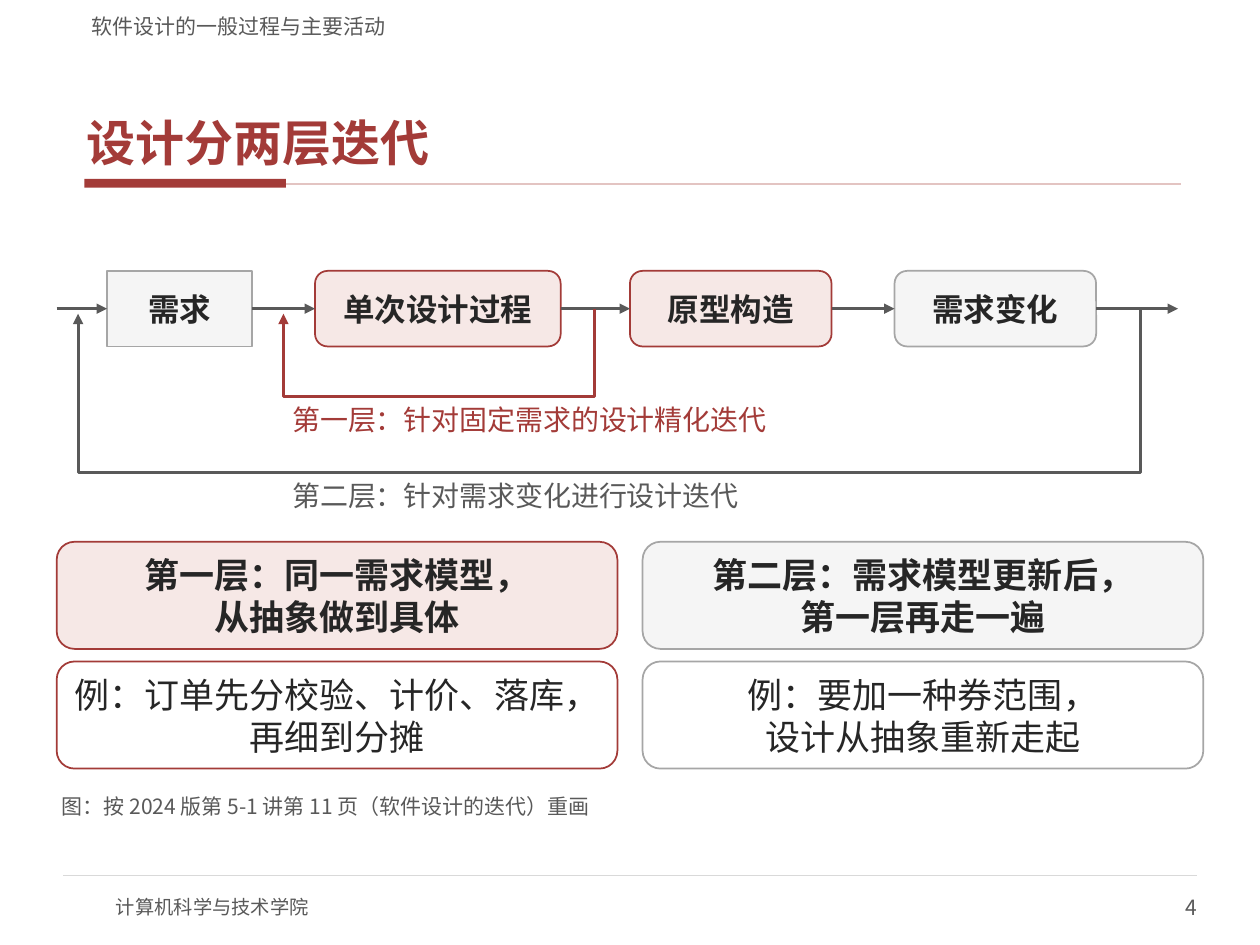
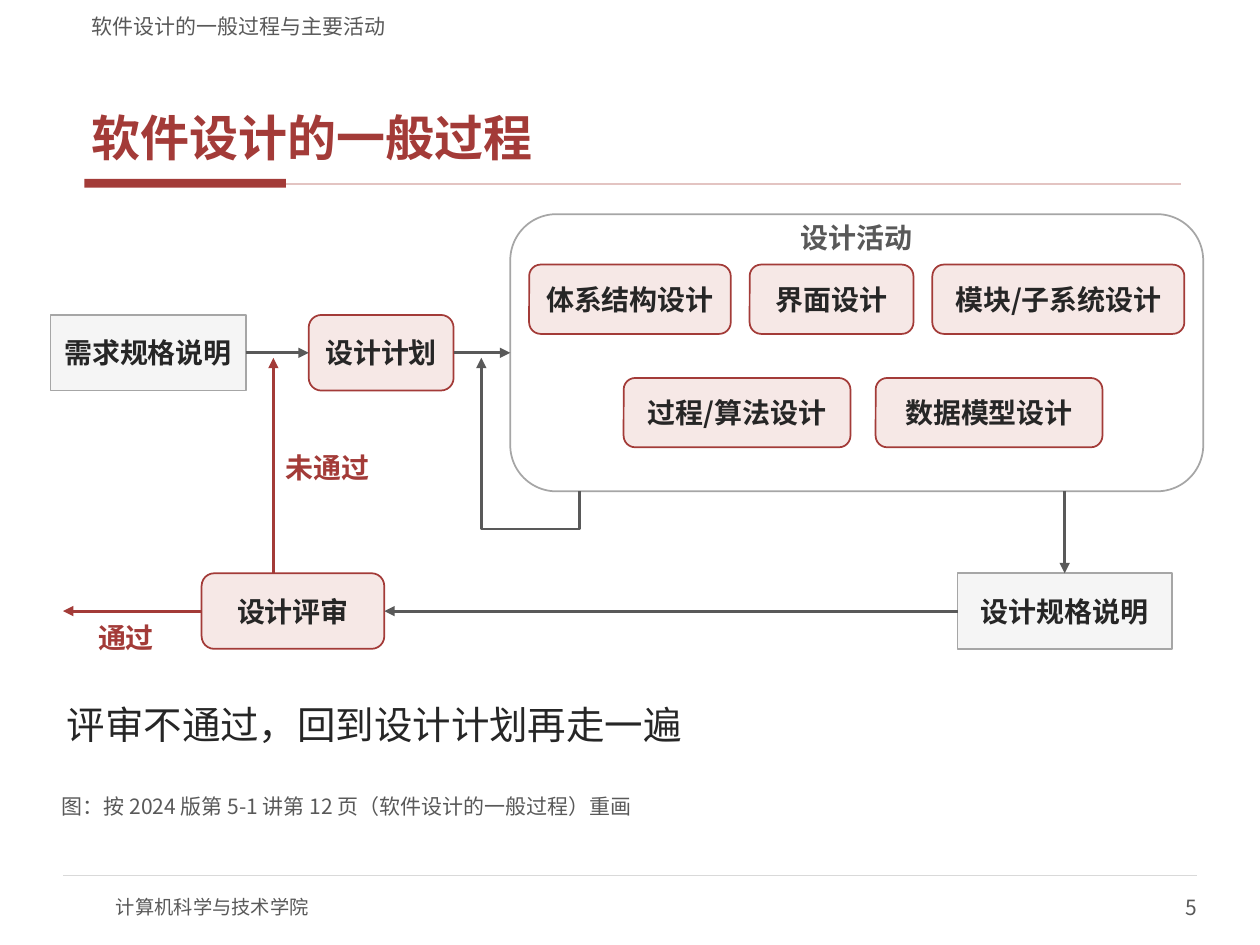
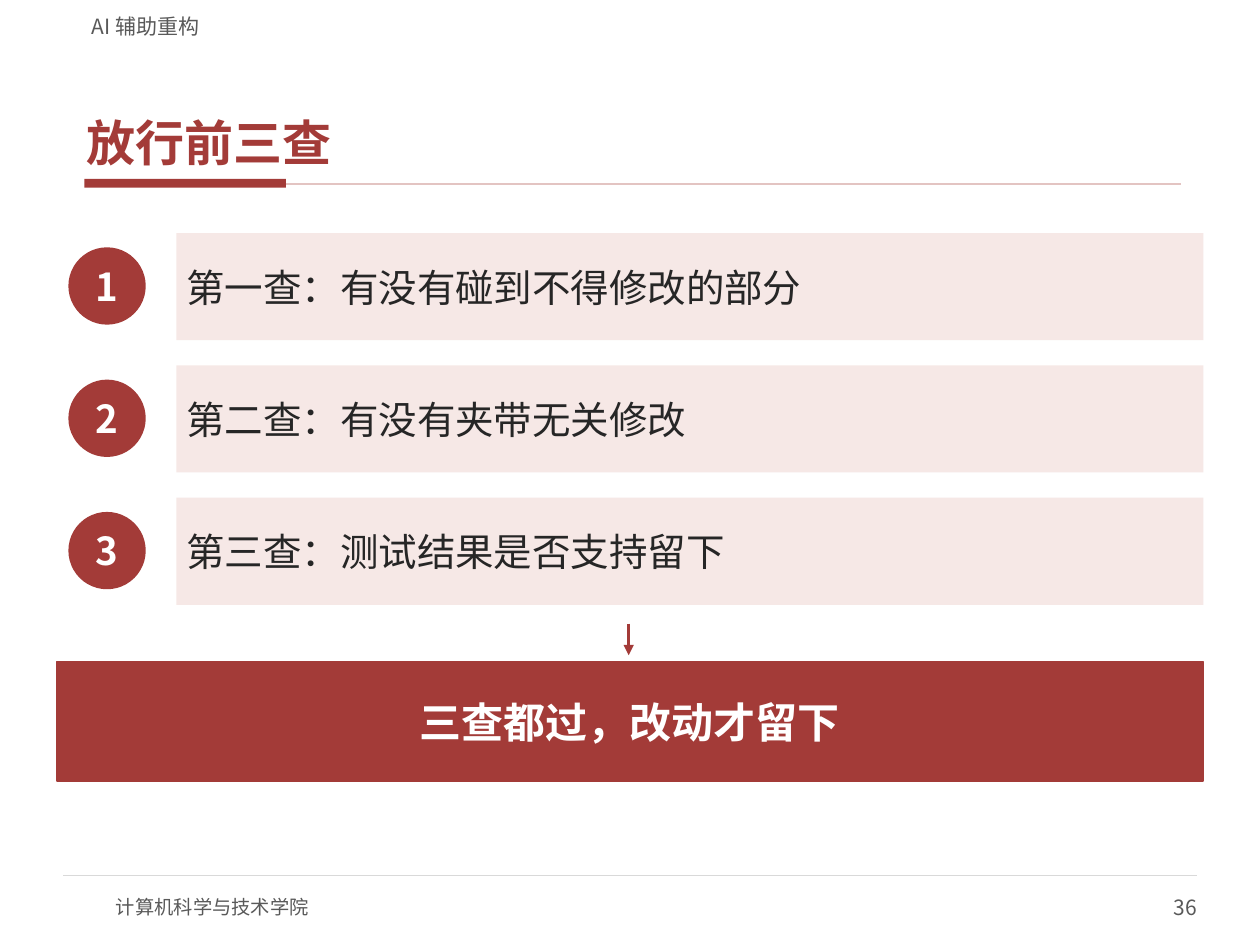
"""Build three lecture slides on design iteration, the design process and release checks."""

from dataclasses import dataclass, replace
from typing import NamedTuple, Optional, Union

from lxml.etree import SubElement
from pptx import Presentation
from pptx.dml.color import RGBColor
from pptx.enum.shapes import MSO_CONNECTOR, MSO_SHAPE
from pptx.enum.text import MSO_ANCHOR, MSO_AUTO_SIZE, PP_ALIGN
from pptx.oxml.ns import qn
from pptx.presentation import Presentation as Deck
from pptx.shapes.autoshape import Shape
from pptx.slide import Slide
from pptx.util import Pt

FONT = "Noto Sans CJK SC"
COLORS = {
    "brick": "A33B38",
    "blush": "F6E8E6",
    "rose": "E3C4C2",
    "fog": "F5F5F5",
    "silver": "A6A6A6",
    "hairline": "D9D9D9",
    "slate": "595959",
    "ink": "262626",
    "white": "FFFFFF",
}
TOP, LEFT, BOTTOM, RIGHT = range(4)
MARGIN_LEFT, CONTENT_WIDTH = 32.4, 655.2
LABEL_HEIGHT, NODE_HEIGHT, PANEL_HEIGHT = 23.04, 43.2, 61.2
SCHOOL = "计算机科学与技术学院"
PROCESS_SECTION = "软件设计的一般过程与主要活动"


class Point(NamedTuple):
    """A place on the slide, in points."""

    x: float
    y: float


class Site(NamedTuple):
    """The middle of one side of a shape."""

    shape: Shape
    side: int


class Area(NamedTuple):
    """Left, top, width and height, in points."""

    left: float
    top: float
    width: float
    height: float


class Skin(NamedTuple):
    """Fill and outline colour names."""

    fill: str
    line: Optional[str]


@dataclass(frozen=True)
class TextStyle:
    """How the text of a box is set."""

    size: float
    color: str = "ink"
    bold: bool = False
    align: PP_ALIGN = PP_ALIGN.LEFT
    anchor: MSO_ANCHOR = MSO_ANCHOR.MIDDLE
    margin_x: float = 5.76
    margin_y: float = 2.88
    line_spacing: Optional[float] = None


@dataclass(frozen=True)
class Node:
    """A box of a flow diagram."""

    left: float
    width: float
    text: str
    skin: Skin
    kind: MSO_SHAPE = MSO_SHAPE.ROUNDED_RECTANGLE


@dataclass(frozen=True)
class Loop:
    """A labelled return path under the flow."""

    start_x: float
    end_x: float
    depth: float
    color: str
    text: str
    label_width: float


@dataclass(frozen=True)
class Layer:
    """One iteration layer: its rule and its example."""

    skin: Skin
    rule: str
    example: str


ACCENT = Skin("blush", "brick")
NEUTRAL = Skin("fog", "silver")
SOLID = Skin("brick", "brick")
BAND = Skin("blush", None)

TITLE = TextStyle(28, "brick", True, anchor=MSO_ANCHOR.BOTTOM, margin_x=4.32, margin_y=1.44)
SPACED_TITLE = replace(TITLE, margin_x=7.2, margin_y=3.6, line_spacing=0.9)
HEADER = TextStyle(12, "slate", anchor=MSO_ANCHOR.BOTTOM, margin_x=7.2, margin_y=0)
CAPTION = replace(HEADER, margin_x=2.88, margin_y=1.44)
FOOTER = TextStyle(11, "slate", margin_x=0, margin_y=0)
PAGE_NUMBER = replace(FOOTER, size=12, align=PP_ALIGN.RIGHT)
NODE = TextStyle(18, bold=True, align=PP_ALIGN.CENTER)
SMALL_NODE = replace(NODE, size=16)
ACTIVITY = replace(SMALL_NODE, margin_x=2.88, margin_y=1.44)
RULE = replace(NODE, size=20)
EXAMPLE = replace(RULE, bold=False)
LABEL = TextStyle(16, "slate", margin_x=1.44, margin_y=0.72)
VERDICT = replace(LABEL, color="brick", bold=True)
STATEMENT = TextStyle(22)
CONCLUSION = replace(NODE, size=24, color="white")
BADGE = replace(CONCLUSION, size=22, margin_x=0, margin_y=0)


def rgb(name: str) -> RGBColor:
    """Return the named colour."""
    return RGBColor.from_string(COLORS[name])


def write(shape: Shape, text: str, style: TextStyle) -> None:
    """Put text into a shape and format it."""
    frame = shape.text_frame
    frame.auto_size = MSO_AUTO_SIZE.NONE
    frame.word_wrap = True
    frame.vertical_anchor = style.anchor
    frame.margin_left = frame.margin_right = Pt(style.margin_x)
    frame.margin_top = frame.margin_bottom = Pt(style.margin_y)
    paragraph = frame.paragraphs[0]
    paragraph.text = text
    paragraph.alignment = style.align
    if style.line_spacing:
        paragraph.line_spacing = style.line_spacing
    for run in paragraph.runs:
        run.font.name = FONT
        run.font.size = Pt(style.size)
        run.font.bold = style.bold
        run.font.color.rgb = rgb(style.color)
    for properties in shape.element.iter(qn("a:rPr")):
        SubElement(properties, qn("a:ea"), typeface=FONT)


def add_text(slide: Slide, area: Area, text: str, style: TextStyle) -> None:
    """Add plain text."""
    write(slide.shapes.add_textbox(*map(Pt, area)), text, style)


def add_box(slide: Slide, kind: MSO_SHAPE, area: Area, skin: Skin,
            text: str = "", style: TextStyle = NODE) -> Shape:
    """Add a filled preset shape, with text if there is any."""
    box = slide.shapes.add_shape(kind, *map(Pt, area))
    box.shadow.inherit = False
    box.fill.solid()
    box.fill.fore_color.rgb = rgb(skin.fill)
    if skin.line:
        box.line.color.rgb = rgb(skin.line)
        box.line.width = Pt(1)
    else:
        box.line.fill.background()
    if text:
        write(box, text, style)
    return box


def add_node(slide: Slide, node: Node, top: float, style: TextStyle,
             height: float = NODE_HEIGHT) -> Shape:
    """Add a flow box at the given top."""
    area = Area(node.left, top, node.width, height)
    return add_box(slide, node.kind, area, node.skin, node.text, style)


def add_arrowhead(stroke) -> None:
    """Put a triangle at the end of a line."""
    SubElement(stroke.element.spPr.find(qn("a:ln")), qn("a:tailEnd"), type="triangle")


def add_line(slide: Slide, start: Union[Point, Site], end: Union[Point, Site],
             color: str = "slate", width: float = 1.75, arrow: bool = True) -> None:
    """Draw a straight line, joined to shapes where a site is given."""
    first = start if isinstance(start, Point) else Point(0, 0)
    last = end if isinstance(end, Point) else first
    line = slide.shapes.add_connector(MSO_CONNECTOR.STRAIGHT, *map(Pt, first + last))
    if isinstance(start, Site):
        line.begin_connect(*start)
    if isinstance(end, Site):
        line.end_connect(*end)
    line.line.color.rgb = rgb(color)
    line.line.width = Pt(width)
    if arrow:
        add_arrowhead(line)
    SubElement(line.element.spPr, qn("a:effectLst"))


def add_return_path(slide: Slide, start: Point, depth: float, end: Point,
                    color: str = "slate", width: float = 1.75) -> None:
    """Draw an arrow that goes down, across and back up."""
    corners = [(start.x, depth), (end.x, depth), end]
    builder = slide.shapes.build_freeform(Pt(start.x), Pt(start.y))
    builder.add_line_segments([(Pt(x), Pt(y)) for x, y in corners], close=False)
    outline = builder.convert_to_shape()
    outline.shadow.inherit = False
    outline.fill.background()
    outline.line.color.rgb = rgb(color)
    outline.line.width = Pt(width)
    add_arrowhead(outline)


def add_slide(deck: Deck, section: str, heading: str, page: int,
              style: TextStyle = TITLE) -> Slide:
    """Add a slide with its title, header, rules and footer."""
    slide = deck.slides.add_slide(deck.slide_layouts[5])
    title = slide.shapes.title
    title.left, title.top, title.width, title.height = map(Pt, (45.36, 23.76, 630, 75.6))
    write(title, heading, style)
    add_box(slide, MSO_SHAPE.RECTANGLE, Area(48.24, 102.24, 115.2, 5.04), Skin("brick", None))
    add_line(slide, Point(163.44, 105.12), Point(674.64, 105.12), "rose", 1, False)
    add_line(slide, Point(36, 500.4), Point(684, 500.4), "hairline", 0.75, False)
    add_text(slide, Area(66.24, 504, 288, 28.8), SCHOOL, FOOTER)
    add_text(slide, Area(540, 504, 144, 28.8), str(page), PAGE_NUMBER)
    add_text(slide, Area(45.36, 2.88, 630, 19.44), section, HEADER)
    return slide


def add_caption(slide: Slide, text: str) -> None:
    """Add the line under a figure."""
    add_text(slide, Area(MARGIN_LEFT, 453.6, CONTENT_WIDTH, 15.84), text, CAPTION)


def build_iteration_slide(deck: Deck) -> None:
    """Show the two layers of design iteration."""
    slide = add_slide(deck, PROCESS_SECTION, "设计分两层迭代", 4)
    flow_top = 154.8
    flow_y = flow_top + NODE_HEIGHT / 2
    stages = [
        Node(61.2, 82.8, "需求", NEUTRAL, MSO_SHAPE.RECTANGLE),
        Node(180, 140.4, "单次设计过程", ACCENT),
        Node(360, 115.2, "原型构造", ACCENT),
        Node(511.2, 115.2, "需求变化", NEUTRAL),
    ]
    boxes = [add_node(slide, stage, flow_top, NODE) for stage in stages]
    starts = [Point(MARGIN_LEFT, flow_y)] + [Site(box, RIGHT) for box in boxes]
    ends = [Site(box, LEFT) for box in boxes] + [Point(673.2, flow_y)]
    for start, end in zip(starts, ends):
        add_line(slide, start, end)

    loops = [
        Loop(339.84, 162, 226.8, "brick", "第一层：针对固定需求的设计精化迭代", 331.2),
        Loop(651.6, 44.64, 270, "slate", "第二层：针对需求变化进行设计迭代", 403.2),
    ]
    for loop in loops:
        add_return_path(slide, Point(loop.start_x, flow_y), loop.depth,
                        Point(loop.end_x, flow_y + 2.88), loop.color)
        add_text(slide, Area(165.6, loop.depth + 1.44, loop.label_width, LABEL_HEIGHT),
                 loop.text, replace(LABEL, color=loop.color))

    layers = [
        Layer(ACCENT, "第一层：同一需求模型，\n从抽象做到具体",
              "例：订单先分校验、计价、落库，\n再细到分摊"),
        Layer(NEUTRAL, "第二层：需求模型更新后，\n第一层再走一遍",
              "例：要加一种券范围，\n设计从抽象重新走起"),
    ]
    for column, layer in enumerate(layers):
        rule = Node(MARGIN_LEFT + column * 334.8, 320.4, layer.rule, layer.skin)
        example = replace(rule, text=layer.example, skin=Skin("white", layer.skin.line))
        add_node(slide, rule, 309.6, RULE, PANEL_HEIGHT)
        add_node(slide, example, 378, EXAMPLE, PANEL_HEIGHT)
    add_caption(slide, "图：按 2024 版第 5-1 讲第 11 页（软件设计的迭代）重画")


def build_process_slide(deck: Deck) -> None:
    """Show the general design process with its review loop."""
    slide = add_slide(deck, PROCESS_SECTION, "软件设计的一般过程", 5, SPACED_TITLE)
    plan_top, review_top = 180, 327.6
    return_y = plan_top + NODE_HEIGHT / 2 + 2.88
    requirements = add_node(
        slide, Node(28.8, 111.6, "需求规格说明", NEUTRAL, MSO_SHAPE.RECTANGLE), plan_top, SMALL_NODE)
    plan = add_node(slide, Node(176.4, 82.8, "设计计划", ACCENT), plan_top, SMALL_NODE)
    activities = Area(291.6, 122.4, 396, 158.4)
    activities_bottom = activities.top + activities.height
    activities_frame = add_box(slide, MSO_SHAPE.ROUNDED_RECTANGLE, activities,
                               Skin("white", "silver"))
    add_text(slide, Area(activities.left, 123.84, activities.width, LABEL_HEIGHT), "设计活动",
             replace(LABEL, bold=True, align=PP_ALIGN.CENTER))
    activity_rows = [
        (151.2, 302.4, 10.8, [("体系结构设计", 115.2), ("界面设计", 93.6), ("模块/子系统设计", 144)]),
        (216, 356.4, 14.4, [("过程/算法设计", 129.6), ("数据模型设计", 129.6)]),
    ]
    for top, left, gap, row in activity_rows:
        for activity, width in row:
            add_node(slide, Node(left, width, activity, ACCENT), top, ACTIVITY, 39.6)
            left += width + gap

    specification = add_node(
        slide, Node(547.2, 122.4, "设计规格说明", NEUTRAL, MSO_SHAPE.RECTANGLE), review_top, SMALL_NODE)
    review = add_node(slide, Node(115.2, 104.4, "设计评审", ACCENT), review_top, SMALL_NODE)
    add_line(slide, Site(requirements, RIGHT), Site(plan, LEFT))
    add_line(slide, Site(plan, RIGHT), Site(activities_frame, LEFT))
    add_return_path(slide, Point(331.2, activities_bottom), 302.4, Point(275.04, return_y), width=1.5)
    add_line(slide, Point(608.4, activities_bottom), Site(specification, TOP))
    add_line(slide, Site(specification, LEFT), Site(review, RIGHT))
    add_line(slide, Site(review, LEFT), Point(36, review_top + NODE_HEIGHT / 2), "brick")
    add_line(slide, Point(156.24, review_top), Point(156.24, return_y), "brick", 1.5)
    add_text(slide, Area(36, 352.8, 72, LABEL_HEIGHT), "通过",
             replace(VERDICT, align=PP_ALIGN.CENTER))
    add_text(slide, Area(162, 255.6, 93.6, LABEL_HEIGHT), "未通过", VERDICT)
    add_text(slide, Area(MARGIN_LEFT, 392.4, CONTENT_WIDTH, 43.2),
             "评审不通过，回到设计计划再走一遍", STATEMENT)
    add_caption(slide, "图：按 2024 版第 5-1 讲第 12 页（软件设计的一般过程）重画")


def build_checks_slide(deck: Deck) -> None:
    """Show the three checks before release."""
    slide = add_slide(deck, "AI 辅助重构", "放行前三查", 36)
    checks = [
        "第一查：有没有碰到不得修改的部分",
        "第二查：有没有夹带无关修改",
        "第三查：测试结果是否支持留下",
    ]
    for index, check in enumerate(checks):
        top = 133.2 + index * 75.6
        add_box(slide, MSO_SHAPE.OVAL, Area(39.6, top + 8.64, 43.2, 43.2), SOLID,
                str(index + 1), BADGE)
        add_box(slide, MSO_SHAPE.RECTANGLE, Area(100.8, top, 586.8, PANEL_HEIGHT), BAND,
                check, STATEMENT)
    add_line(slide, Point(359.28, 356.4), Point(359.28, 374.4), "brick")
    add_box(slide, MSO_SHAPE.RECTANGLE, Area(MARGIN_LEFT, 378, CONTENT_WIDTH, 68.4), SOLID,
            "三查都过，改动才留下", CONCLUSION)


def main() -> None:
    """Build and save the slides."""
    deck = Presentation()
    deck.slide_width, deck.slide_height = Pt(720), Pt(540)
    build_iteration_slide(deck)
    build_process_slide(deck)
    build_checks_slide(deck)
    deck.save("out.pptx")


if __name__ == "__main__":
    main()
